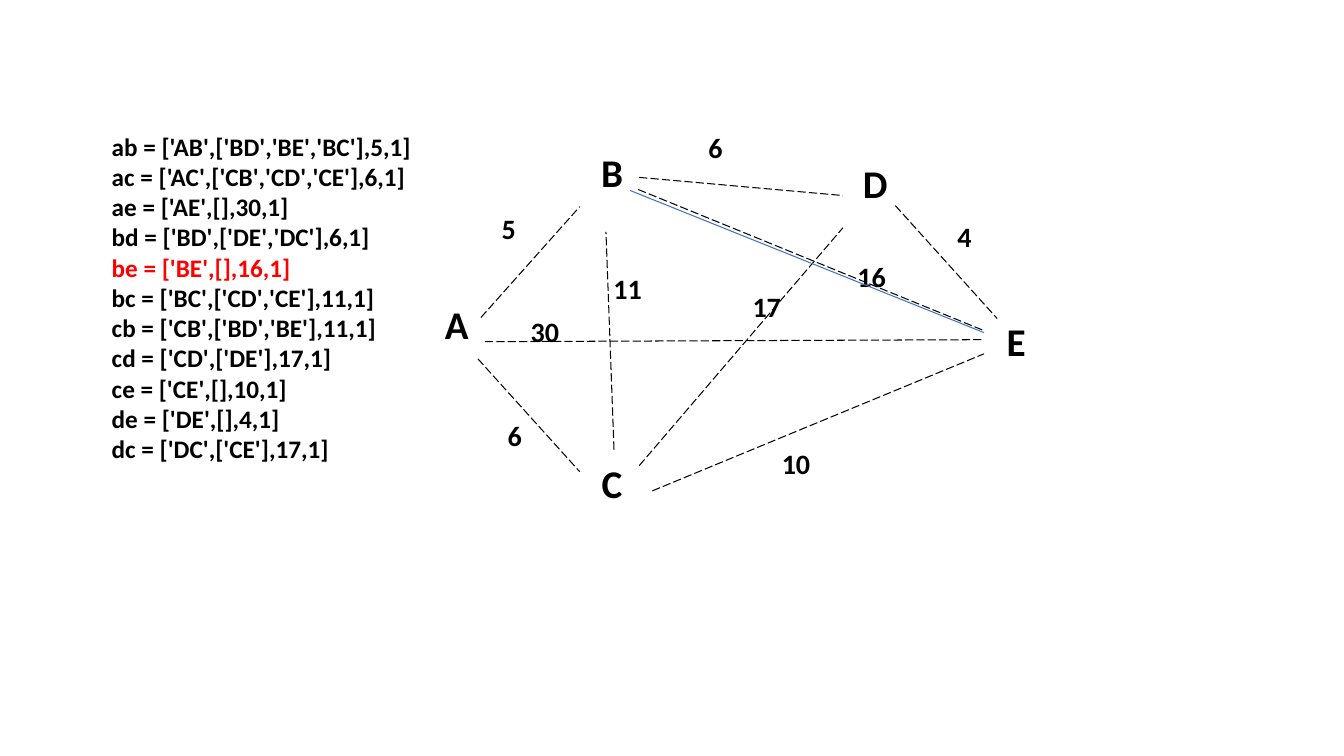
import pptx
import pptx.util
import pptx.dml.color
import pptx.enum.dml
import pptx.enum.shapes
import pptx.enum.text
import pptx.oxml.ns
import lxml.etree

RGB = pptx.dml.color.RGBColor
BLACK = RGB(0x00, 0x00, 0x00)
RED = RGB(0xFF, 0x00, 0x00)
BLUE = RGB(0x44, 0x72, 0xC4)
DASH = pptx.enum.dml.MSO_LINE.LONG_DASH
LEFT = pptx.enum.text.PP_ALIGN.LEFT
MID = pptx.enum.text.PP_ALIGN.CENTER
PX = 9144

NODES = [("A", 421, 293), ("E", 976, 310), ("B", 575, 142),
         ("C", 575, 451), ("D", 836, 153)]
COSTS = [("5", 469, 205), ("6", 475, 410), ("10", 754, 438),
         ("30", 505, 307), ("16", 829, 252), ("11", 587, 264),
         ("6", 674, 125), ("4", 921, 213), ("17", 725, 282)]
EDGES = {
    "AC": (474, 356, 575, 468),
    "CB": (609, 446, 601, 230),
    "BD": (634, 176, 836, 194),
    "AB": (477, 315, 575, 205),
    "BE": (633, 188, 976, 328),
    "CE": (647, 487, 976, 351),
    "DE": (888, 204, 989, 316),
    "CD": (634, 462, 836, 226),
    "AE": (481, 339, 976, 337),
}
ROUTE = (625, 189, 976, 330)
CODE = [
    "ab = ['AB',['BD','BE','BC'],5,1]",
    "ac = ['AC',['CB','CD','CE'],6,1]",
    "ae = ['AE',[],30,1]",
    "bd = ['BD',['DE','DC'],6,1]",
    "be = ['BE',[],16,1]",
    "bc = ['BC',['CD','CE'],11,1]",
    "cb = ['CB',['BD','BE'],11,1]",
    "cd = ['CD',['DE'],17,1]",
    "ce = ['CE',[],10,1]",
    "de = ['DE',[],4,1]",
    "dc = ['DC',['CE'],17,1]",
]
PICK = "be"


def write(slide, lines, box, size, align):
    shape = slide.shapes.add_textbox(*(n * PX for n in box))
    frame = shape.text_frame
    frame.word_wrap = True
    frame.auto_size = pptx.enum.text.MSO_AUTO_SIZE.SHAPE_TO_FIT_TEXT
    frame.text = "\n".join(lines)
    form = {"name": "Calibri", "size": pptx.util.Pt(size), "bold": True}
    for para in frame.paragraphs:
        para.alignment = align
        font = para.runs[0].font
        for key, val in form.items():
            setattr(font, key, val)
        font.color.rgb = RED if para.text.startswith(PICK) else BLACK


def draw(slide, ends, color, dash=None):
    kind = pptx.enum.shapes.MSO_CONNECTOR.STRAIGHT
    edge = slide.shapes.add_connector(kind, *(n * PX for n in ends))
    form = {"width": pptx.util.Pt(0.75), "dash_style": dash}
    for key, val in form.items():
        setattr(edge.line, key, val)
    edge.line.color.rgb = color
    props = edge._element.spPr
    lxml.etree.SubElement(props, pptx.oxml.ns.qn("a:effectLst"))


def main():
    deck = pptx.Presentation()
    deck.slide_width = 1333 * PX
    deck.slide_height = 750 * PX
    slide = deck.slides.add_slide(deck.slide_layouts[6])
    for name, x, y in NODES:
        write(slide, [name], (x, y, 64, 81), 28, MID)
    for ends in EDGES.values():
        draw(slide, ends, BLACK, DASH)
    for cost, x, y in COSTS:
        write(slide, [cost], (x, y, 71, 62), 20, MID)
    write(slide, CODE, (101, 125, 362, 404), 18, LEFT)
    draw(slide, ROUTE, BLUE)
    deck.save("out.pptx")


if __name__ == "__main__":
    main()
